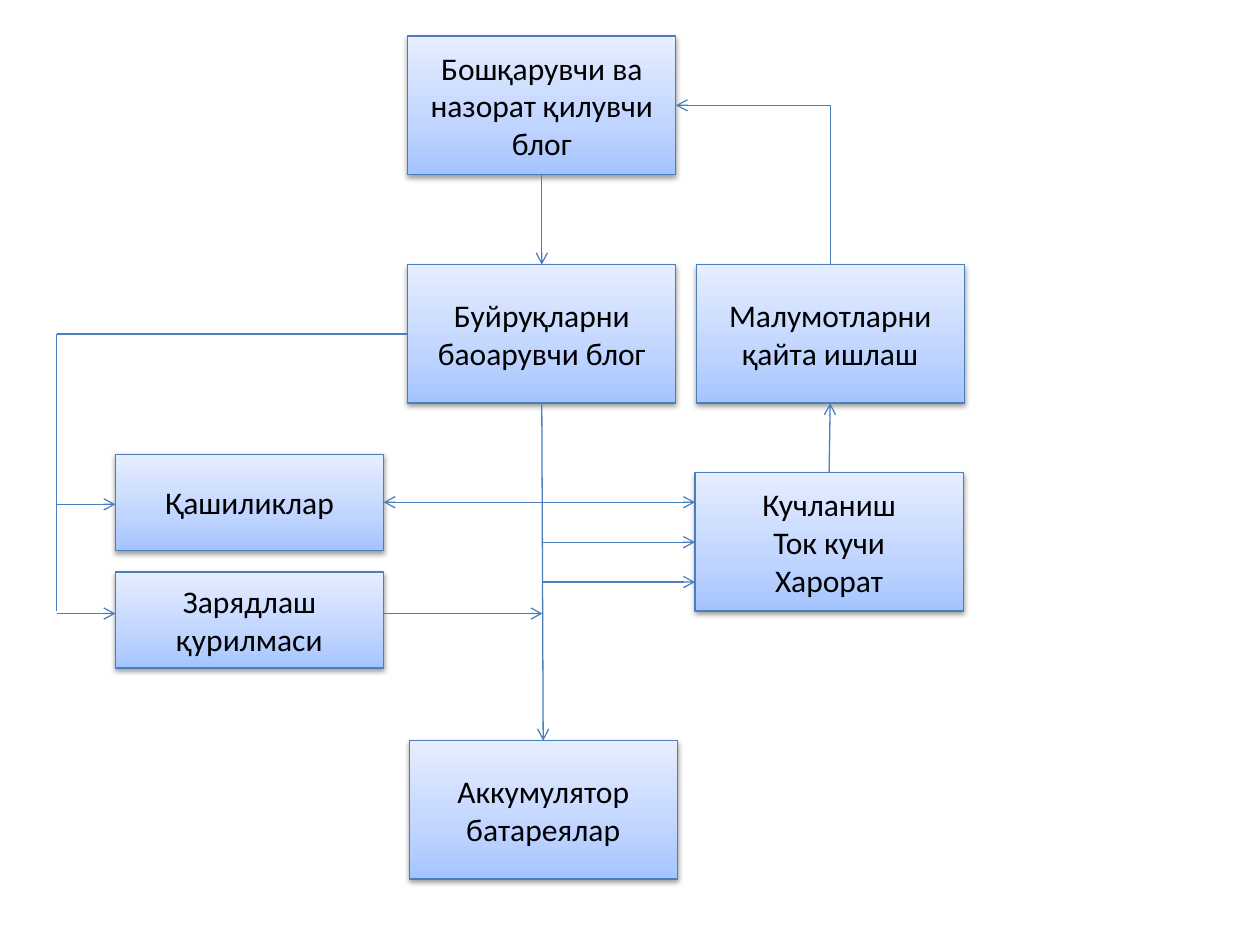
import pptx
import pptx.util
import pptx.oxml
import pptx.oxml.ns
import pptx.dml.color
import pptx.enum.shapes
import pptx.enum.text
import lxml.etree

Pt = pptx.util.Pt
RGB = pptx.dml.color.RGBColor
LINE = RGB(0x4B, 0x7E, 0xBC)
INK = RGB(0, 0, 0)
SHADE = RGB(0, 0, 0)
# Gradient from the bottom edge up: position in percent, colour
STOPS = [(0, RGB(0xA4, 0xC4, 0xFF)), (35, RGB(0xBF, 0xD4, 0xFF)),
         (100, RGB(0xE6, 0xEE, 0xFF))]

# Box sizes, columns and rows, in points
WIDE, TALL, LOW = 153.2, 79.2, 55
LEFT, MID, RIGHT = 66, 233, 397.8
ROW = 151.2

# Boxes: name, left, top, height, paragraphs
BOXES = [
    ("control", MID, 20.6, TALL, ["Бошқарувчи ва назорат қилувчи блог"]),
    ("command", MID, ROW, TALL, ["Буйруқларни баоарувчи блог"]),
    ("battery", MID + 0.8, 423.2, TALL, ["Аккумулятор батареялар"]),
    ("sensor", RIGHT - 0.6, 270, TALL, ["Кучланиш", "Ток кучи", "Харорат"]),
    ("data", RIGHT, ROW, TALL, ["Малумотларни қайта ишлаш"]),
    ("resist", LEFT, 259.6, LOW, ["Қашиликлар"]),
    ("charger", LEFT, 326.8, LOW, ["Зарядлаш қурилмаси"]),
]

# Edge points of each box
EDGE = {
    name: {"top": (x + WIDE / 2, y), "bottom": (x + WIDE / 2, y + h),
           "left": (x, y + h / 2), "right": (x + WIDE, y + h / 2)}
    for name, x, y, h, _ in BOXES
}
TRUNK = EDGE["battery"]["top"][0] - 0.4
BUS = 32.4
TAPS = [287, 309.8, 332.6]
FEED = 350.6
BRANCH = 288.2


def write(shape, text, size=18, color=INK, font="Calibri"):
    frame = shape.text_frame
    frame.word_wrap = True
    frame.vertical_anchor = pptx.enum.text.MSO_ANCHOR.MIDDLE
    for i, words in enumerate(text):
        para = frame.add_paragraph() if i else frame.paragraphs[0]
        para.alignment = pptx.enum.text.PP_ALIGN.CENTER
        run = para.add_run()
        run.text = words
        run.font.size = Pt(size)
        run.font.name = font
        run.font.color.rgb = color


def shade(shape):
    """Three-stop vertical gradient and a soft shadow below."""
    space = pptx.oxml.ns.nsdecls("a")
    stops = "".join(f'<a:gs pos="{pos * 1000}"><a:srgbClr val="{color}"/></a:gs>'
                    for pos, color in STOPS)
    props = shape._element.spPr
    props.insert(2, pptx.oxml.parse_xml(
        f'<a:gradFill {space} rotWithShape="1"><a:gsLst>{stops}</a:gsLst>'
        '<a:lin ang="16200000" scaled="0"/></a:gradFill>'))
    shape.shadow.inherit = False
    props.find(pptx.oxml.ns.qn("a:effectLst")).append(pptx.oxml.parse_xml(
        f'<a:outerShdw {space} blurRad="{Pt(3.1)}" dist="{Pt(1.6)}" '
        f'dir="5400000" rotWithShape="0"><a:srgbClr val="{SHADE}">'
        '<a:alpha val="38000"/></a:srgbClr></a:outerShdw>'))


def box(slide, x, y, high, text):
    shape = slide.shapes.add_shape(pptx.enum.shapes.MSO_SHAPE.RECTANGLE,
                                   Pt(x), Pt(y), Pt(WIDE), Pt(high))
    shape.line.color.rgb = LINE
    shape.line.width = Pt(0.75)
    shade(shape)
    write(shape, text)


def link(slide, start, end, arrow=True):
    wire = slide.shapes.add_connector(pptx.enum.shapes.MSO_CONNECTOR.STRAIGHT,
                                      *(Pt(v) for v in (*start, *end)))
    wire.line.color.rgb = LINE
    wire.line.width = Pt(0.75)
    qn = pptx.oxml.ns.qn
    props = wire._element.spPr
    if arrow:
        lxml.etree.SubElement(props.find(qn("a:ln")), qn("a:tailEnd"), type="arrow")
    lxml.etree.SubElement(props, qn("a:effectLst"))


def main():
    deck = pptx.Presentation()
    deck.slide_width, deck.slide_height = Pt(720), Pt(540)
    slide = deck.slides.add_slide(deck.slide_layouts[6])

    for _, x, y, high, text in BOXES:
        box(slide, x, y, high, text)

    # Main trunk
    link(slide, EDGE["control"]["bottom"], EDGE["command"]["top"])
    link(slide, EDGE["command"]["bottom"], EDGE["battery"]["top"])

    # Taps from the trunk, and the charger feed into it
    for y in TAPS:
        link(slide, (TRUNK, y), (EDGE["sensor"]["left"][0], y))
    link(slide, (TRUNK, TAPS[0]), (EDGE["resist"]["right"][0], TAPS[0]))
    link(slide, (EDGE["charger"]["right"][0], FEED), (TRUNK, FEED))

    # Readings go back to the control block
    top = EDGE["data"]["top"]
    back = EDGE["control"]["right"]
    link(slide, EDGE["sensor"]["top"], EDGE["data"]["bottom"])
    link(slide, top, (top[0], back[1]), arrow=False)
    link(slide, (top[0], back[1]), back)

    # Left bus from the command block
    start = EDGE["command"]["left"]
    low = EDGE["charger"]["left"][1] - 3.7
    link(slide, (BUS, start[1]), start, arrow=False)
    link(slide, (BUS, start[1]), (BUS, low - 1.4), arrow=False)
    for y in (BRANCH, low):
        link(slide, (BUS, y), (LEFT, y))

    deck.save("out.pptx")


if __name__ == "__main__":
    main()
